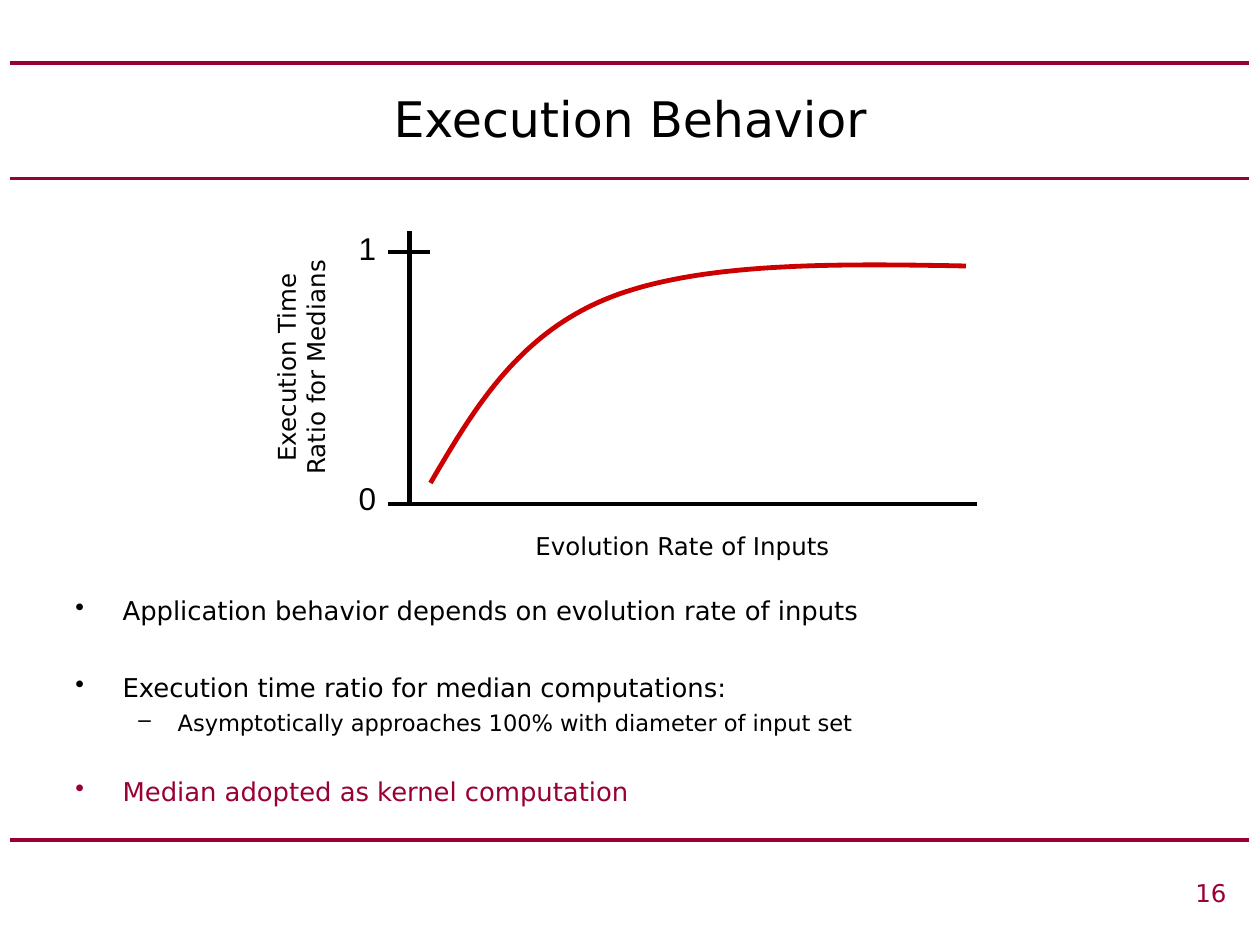
from dataclasses import dataclass

import lxml.etree
import pptx
import pptx.dml.color
import pptx.enum.shapes
import pptx.enum.text
import pptx.oxml.ns
import pptx.util

Pt = pptx.util.Pt
Align = pptx.enum.text.PP_ALIGN
qn = pptx.oxml.ns.qn


@dataclass(frozen=True)
class Theme:
    text: str = "000000"
    accent: str = "990033"
    curve: str = "CC0000"
    font: str = "DejaVu Sans"
    tick_font: str = "Arial"
    title_size: float = 28
    tick_size: float = 18
    label_size: float = 14
    bullet_size: float = 14.8
    detail_size: float = 12.9
    rule_width: float = 2.25
    plot_width: float = 2.75


THEME = Theme()


def rgb(color):
    return pptx.dml.color.RGBColor.from_string(color)


def style(paragraph, size, color=THEME.text, font=THEME.font, align=Align.CENTER):
    paragraph.alignment = align
    paragraph.font.size = Pt(size)
    paragraph.font.name = font
    paragraph.font.color.rgb = rgb(color)


def add_text_box(slide, left, top, width, height):
    shape = slide.shapes.add_textbox(Pt(left), Pt(top), Pt(width), Pt(height))
    shape.text_frame.word_wrap = True
    return shape


def add_label(slide, box, text, size, **options):
    shape = add_text_box(slide, *box)
    paragraph = shape.text_frame.paragraphs[0]
    paragraph.text = text
    style(paragraph, size, **options)
    return shape


def add_line(slide, start, end, color, width):
    line = slide.shapes.add_connector(
        pptx.enum.shapes.MSO_CONNECTOR.STRAIGHT,
        Pt(start[0]), Pt(start[1]), Pt(end[0]), Pt(end[1]))
    line.line.color.rgb = rgb(color)
    line.line.width = Pt(width)
    lxml.etree.SubElement(line._element.spPr, qn("a:effectLst"))


def add_rules(slide, left, right, heights):
    for height in heights:
        add_line(slide, (left, height), (right, height), THEME.accent, THEME.rule_width)


def add_title(slide, left, top, width, height, text):
    title = slide.shapes.title
    title.left, title.top, title.width, title.height = map(Pt, (left, top, width, height))
    frame = title.text_frame
    frame.text = text
    frame.auto_size = pptx.enum.text.MSO_AUTO_SIZE.NONE
    frame.vertical_anchor = pptx.enum.text.MSO_ANCHOR.MIDDLE
    style(frame.paragraphs[0], THEME.title_size)


def bezier_points(start, first, second, end, steps=40):
    for step in range(1, steps + 1):
        t = step / steps
        u = 1 - t
        yield tuple(
            u**3 * a + 3 * u**2 * t * b + 3 * u * t**2 * c + t**3 * d
            for a, b, c, d in zip(start, first, second, end))


def add_curve(slide, left, top):
    start, middle = (0, 126), (100, 21)
    segments = [
        (start, (24.5, 84), (49.5, 42), middle),
        (middle, (151, 0), (228, 0.5), (306, 2)),
    ]
    points = [
        (Pt(left + x), Pt(top + y))
        for segment in segments for x, y in bezier_points(*segment)]
    builder = slide.shapes.build_freeform(Pt(left + start[0]), Pt(top + start[1]))
    builder.add_line_segments(points, close=False)
    curve = builder.convert_to_shape()
    curve.shadow.inherit = False
    curve.fill.background()
    curve.line.color.rgb = rgb(THEME.curve)
    curve.line.width = Pt(THEME.plot_width)


def add_plot(slide, left, top, width, height):
    axis = left + 12
    bottom = top + height
    one = top + 12
    for start, end in [
        ((axis, top), (axis, bottom)),
        ((left, one), (left + 24, one)),
        ((left, bottom), (left + width, bottom)),
    ]:
        add_line(slide, start, end, THEME.text, THEME.plot_width)
    add_curve(slide, left + 24, one + 6)
    for text, label_top in [("1", one - 16.5), ("0", bottom - 18)]:
        add_label(slide, (left - 30, label_top, 36, 29), text,
                  THEME.tick_size, font=THEME.tick_font)
    add_label(slide, (left + 54, bottom + 12, 228, 24.5),
              "Evolution Rate of Inputs", THEME.label_size)
    vertical = add_label(slide, (left - 122, top + 57.5, 144, 41),
                         "Execution Time Ratio for Medians", THEME.label_size)
    vertical.rotation = 270


def add_bullet(paragraph, mark, color, margin, hanging):
    properties = paragraph._p.get_or_add_pPr()
    properties.set("marL", str(Pt(margin)))
    properties.set("indent", str(-Pt(hanging)))
    bullet_color = lxml.etree.SubElement(properties, qn("a:buClr"))
    lxml.etree.SubElement(bullet_color, qn("a:srgbClr"), val=color)
    lxml.etree.SubElement(properties, qn("a:buChar"), char=mark)


def add_bullets(slide, left, top, width, height):
    main = ("•", 27, 27, THEME.bullet_size)
    detail = ("–", 58.5, 22.5, THEME.detail_size)
    items = [
        ("Application behavior depends on evolution rate of inputs", main, 0, THEME.text),
        ("Execution time ratio for median computations:", main, 26, THEME.text),
        ("Asymptotically approaches 100% with diameter of input set", detail, 3.5, THEME.text),
        ("Median adopted as kernel computation", main, 23, THEME.accent),
    ]
    frame = add_text_box(slide, left, top, width, height).text_frame
    for index, (text, (mark, margin, hanging, size), gap, color) in enumerate(items):
        paragraph = frame.add_paragraph() if index else frame.paragraphs[0]
        paragraph.text = text
        paragraph.level = int(mark == "–")
        paragraph.space_before = Pt(gap)
        add_bullet(paragraph, mark, color, margin, hanging)
        style(paragraph, size, color, align=Align.LEFT)


def main():
    presentation = pptx.Presentation()
    presentation.slide_width, presentation.slide_height = Pt(720), Pt(540)
    slide = presentation.slides.add_slide(presentation.slide_layouts[5])
    add_rules(slide, 6, 714, (36, 102, 480))
    add_title(slide, 36, 36, 648, 63, "Execution Behavior")
    add_plot(slide, 222, 132, 336, 156)
    add_bullets(slide, 36, 336.5, 648, 138)
    add_label(slide, (204, 498, 504, 24), "16", THEME.label_size,
              color=THEME.accent, align=Align.RIGHT)
    presentation.save("out.pptx")


if __name__ == "__main__":
    main()
